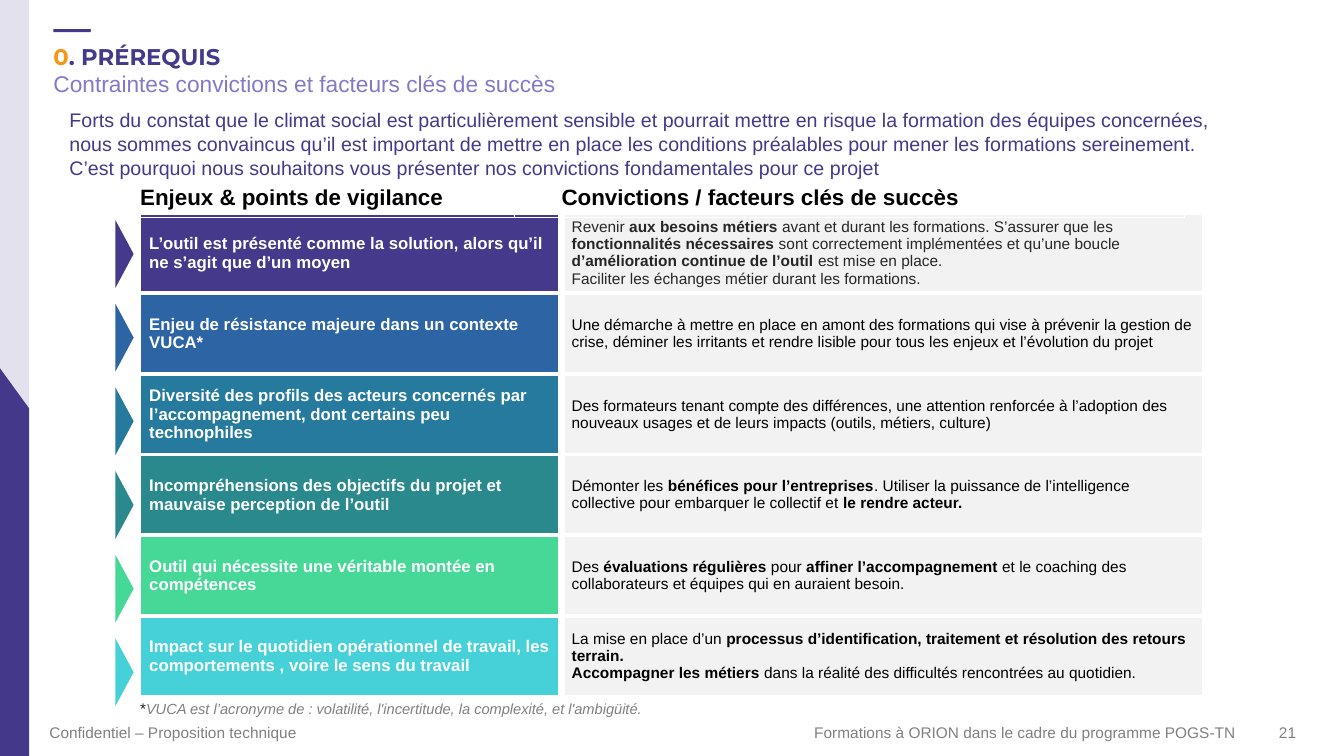
"""Build the prerequisites slide: issues facing their key success factors."""
from dataclasses import dataclass, replace

from lxml import etree
from pptx import Presentation
from pptx import table as tables
from pptx import util as u
from pptx.dml import color as colors
from pptx.dml import fill as fills
from pptx.enum import shapes, text
from pptx.oxml import ns
from pptx.shapes import autoshape
from pptx.slide import Slide
from pptx.text import text as frames

PURPLE, GREY, WHITE, BLACK = "44398A", "808080", "FFFFFF", "000000"
LEFT, RIGHT, CENTER = text.PP_ALIGN.LEFT, text.PP_ALIGN.RIGHT, text.PP_ALIGN.CENTER
MIDDLE, TOP = text.MSO_ANCHOR.MIDDLE, text.MSO_ANCHOR.TOP


@dataclass(frozen=True)
class Run:
    text: str
    size: float
    color: str
    bold: bool = False
    italic: bool = False
    name: str = "Arial"


@dataclass(frozen=True)
class Box:
    left: float
    top: float
    width: float
    height: float

    def lengths(self) -> list[u.Length]:
        return [u.Inches(value) for value in (self.left, self.top, self.width, self.height)]


@dataclass(frozen=True)
class Issue:
    color: str
    title: str
    factors: tuple[str, ...]
    factor_color: str = BLACK


@dataclass(frozen=True)
class Decoration:
    kind: shapes.MSO_SHAPE
    box: Box
    color: str


@dataclass(frozen=True)
class Label:
    box: Box
    runs: tuple[Run, ...]
    alignment: text.PP_ALIGN = LEFT
    anchor: text.MSO_ANCHOR = MIDDLE
    margins: tuple[float, float] = (0, 0)


ISSUES = [
    Issue(PURPLE, "L’outil est présenté comme la solution, alors qu’il ne s’agit que d’un moyen",
          ("Revenir **aux besoins métiers **avant et durant les formations. S’assurer que les "
           "**fonctionnalités nécessaires **sont correctement implémentées et qu’une boucle "
           "**d’amélioration continue de l’outil **est mise en place.",
           "Faciliter les échanges métier durant les formations."), "262626"),
    Issue("2C64A4", "Enjeu de résistance majeure dans un contexte VUCA*",
          ("Une démarche à mettre en place en amont des formations qui vise à prévenir la gestion "
           "de crise, déminer les irritants et rendre lisible pour tous les enjeux et l’évolution "
           "du projet",)),
    Issue("257A9D", "Diversité des profils des acteurs concernés par l’accompagnement, dont "
          "certains peu technophiles",
          ("Des formateurs tenant compte des différences, une attention renforcée à l’adoption "
           "des nouveaux usages et de leurs impacts (outils, métiers, culture)",)),
    Issue("29898D", "Incompréhensions des objectifs du projet et mauvaise perception de l’outil",
          ("Démonter les **bénéfices pour l’entreprises**. Utiliser la puissance de "
           "l’intelligence collective pour embarquer le collectif et **le rendre acteur.",)),
    Issue("45D896", "Outil qui nécessite une véritable montée en compétences",
          ("Des **évaluations régulières **pour **affiner l’accompagnement **et le coaching des "
           "collaborateurs et équipes qui en auraient besoin.",)),
    Issue("45D1D7", "Impact sur le quotidien opérationnel de travail, les comportements , "
          "voire le sens du travail",
          ("La mise en place d’un **processus d’identification, traitement et résolution des "
           "retours terrain.",
           "**Accompagner les métiers **dans la réalité des difficultés rencontrées au "
           "quotidien.")),
]
INTRODUCTION = [
    "Forts du constat que le climat social est particulièrement sensible et pourrait mettre en "
    "risque la formation des équipes concernées,",
    "nous sommes convaincus qu’il est important de mettre en place les conditions préalables pour "
    "mener les formations sereinement.",
    "C’est pourquoi nous souhaitons vous présenter nos convictions fondamentales pour ce projet",
]
DECORATIONS = [
    Decoration(shapes.MSO_SHAPE.RECTANGLE, Box(-0.01, -0.04, 0.3, 7.59), "44388A"),
    Decoration(shapes.MSO_SHAPE.FLOWCHART_MANUAL_INPUT, Box(-0.35, 3.17, 0.64, 4.41), "44388A"),
    Decoration(shapes.MSO_SHAPE.RECTANGLE, Box(0.63, 0.29, 0.27, 0.02), PURPLE),
    Decoration(shapes.MSO_SHAPE.RECTANGLE, Box(0.53, 0.29, 0.37, 0.03), PURPLE),
]
LABELS = [
    Label(Box(12.63, 7.17, 0.28, 0.19), (Run("21", 11, GREY),), CENTER, TOP),
    Label(Box(0.49, 7.17, 4.13, 0.19), (Run("Confidentiel – Proposition technique", 11, GREY),)),
    Label(Box(2.3, 7.17, 9.96, 0.19),
          (Run("Formations à ORION dans le cadre du programme POGS-TN", 11, GREY),), RIGHT),
    Label(Box(1.29, 6.89, 7.51, 0.29),
          (Run("*", 11, "202124"),
           Run("VUCA est l’acronyme de : volatilité, l'incertitude, la complexité, et l'ambigüité.",
               10.5, GREY, italic=True)), anchor=TOP, margins=(0.1, 0.05)),
]


def rgb(value: str) -> colors.RGBColor:
    return colors.RGBColor.from_string(value)


def paint(fill: fills.FillFormat, color: str) -> None:
    fill.solid()
    fill.fore_color.rgb = rgb(color)


def add_runs(paragraph: frames._Paragraph, runs: tuple[Run, ...]) -> None:
    for item in runs:
        run = paragraph.add_run()
        run.text = item.text
        formats = {"name": item.name, "size": u.Pt(item.size), "bold": item.bold,
                   "italic": item.italic}
        for attribute, value in formats.items():
            setattr(run.font, attribute, value)
        run.font.color.rgb = rgb(item.color)


def write(frame: frames.TextFrame, lines: list[tuple[Run, ...]],
          alignment: text.PP_ALIGN = LEFT) -> None:
    for index, runs in enumerate(lines):
        paragraph = frame.add_paragraph() if index else frame.paragraphs[0]
        paragraph.alignment = alignment
        add_runs(paragraph, runs)


def emphasised(marked: str, base: Run) -> tuple[Run, ...]:
    return tuple(replace(base, text=part, bold=index % 2 == 1)
                 for index, part in enumerate(marked.split("**")) if part)


def set_frame(frame: frames.TextFrame, anchor: text.MSO_ANCHOR,
              margins: tuple[float, float]) -> None:
    horizontal, vertical = map(u.Inches, margins)
    formats = {"word_wrap": True, "auto_size": text.MSO_AUTO_SIZE.NONE, "vertical_anchor": anchor,
               "margin_left": horizontal, "margin_right": horizontal,
               "margin_top": vertical, "margin_bottom": vertical}
    for attribute, value in formats.items():
        setattr(frame, attribute, value)


def add_shape(slide: Slide, decoration: Decoration) -> autoshape.Shape:
    shape = slide.shapes.add_shape(decoration.kind, *decoration.box.lengths())
    shape.shadow.inherit = False
    paint(shape.fill, decoration.color)
    shape.line.fill.background()
    return shape


def add_label(slide: Slide, label: Label) -> None:
    frame = slide.shapes.add_textbox(*label.box.lengths()).text_frame
    set_frame(frame, label.anchor, label.margins)
    write(frame, [label.runs], label.alignment)


def add_table(slide: Slide, rows: int, box: Box, widths: tuple[float, ...]) -> tables.Table:
    table = slide.shapes.add_table(rows, len(widths), *box.lengths()).table
    table.first_row = table.horz_banding = False
    for column, width in zip(table.columns, widths):
        column.width = u.Inches(width)
    return table


def set_borders(cell: tables._Cell, left: float, right: float, edge: float) -> None:
    properties = cell._tc.get_or_add_tcPr()
    for side, width in {"lnL": left, "lnR": right, "lnT": edge, "lnB": edge}.items():
        line = etree.SubElement(properties, ns.qn(f"a:{side}"), w=str(u.Pt(width)))
        solid = etree.SubElement(line, ns.qn("a:solidFill"))
        etree.SubElement(solid, ns.qn("a:srgbClr"), val=WHITE)


def add_title(slide: Slide) -> None:
    title = slide.shapes.title
    title.left, title.top, title.width, title.height = Box(0.43, 0.32, 10.83, 0.45).lengths()
    set_frame(title.text_frame, TOP, (0.1, 0.1))
    write(title.text_frame, [(Run("0", 16.2, "F79616", True, name="Montserrat"),
                              Run(". PRÉREQUIS", 16.2, PURPLE, True, name="Montserrat"))])
    paragraph = title.text_frame.paragraphs[0]
    paragraph.add_line_break()
    add_runs(paragraph, (Run("Contraintes convictions et facteurs clés de succès", 16.2, "8479C8"),))


def add_issues(slide: Slide) -> None:
    table = add_table(slide, len(ISSUES), Box(1.38, 2.11, 10.56, 4.8), (4.19, 6.37))
    for row, issue in enumerate(ISSUES):
        base = Run("", 11, issue.factor_color)
        contents = [(issue.color, [(Run(issue.title, 12, WHITE, True),)], (3, 6)),
                    ("F2F2F2", [emphasised(line, base) for line in issue.factors], (6, 3))]
        for column, (color, lines, sides) in enumerate(contents):
            cell = table.cell(row, column)
            set_borders(cell, *sides, 3)
            paint(cell.fill, color)
            cell.vertical_anchor = MIDDLE
            write(cell.text_frame, lines)


def add_headings(slide: Slide) -> None:
    table = add_table(slide, 1, Box(1.29, 1.79, 10.46, 0.37), (3.81, 6.65))
    headings = [("Enjeux & points de vigilance", 0.1),
                ("Convictions / facteurs clés de succès", 0.47)]
    for column, (heading, margin) in enumerate(headings):
        cell = table.cell(0, column)
        set_borders(cell, 1, 1, 1)
        cell.fill.background()
        cell.margin_left = u.Inches(margin)
        write(cell.text_frame, [(Run(heading, 16, BLACK, True),)])


def main() -> None:
    presentation = Presentation()
    presentation.slide_width, presentation.slide_height = u.Inches(13.33), u.Inches(7.5)
    slide = presentation.slides.add_slide(presentation.slide_layouts[5])
    band, slope, *_ = [add_shape(slide, decoration) for decoration in DECORATIONS]
    tint = band.element.spPr.find(f".//{ns.qn('a:srgbClr')}")
    etree.SubElement(tint, ns.qn("a:alpha"), val="15000")
    slope.element.spPr.xfrm.set("flipH", "1")
    add_title(slide)
    add_issues(slide)
    add_headings(slide)
    for row, issue in enumerate(ISSUES):
        box = Box(0.9, 2.43 + 0.83 * row, 0.67, 0.18)
        add_shape(slide, Decoration(shapes.MSO_SHAPE.ISOSCELES_TRIANGLE, box, issue.color)).rotation = 90
    panel = Decoration(shapes.MSO_SHAPE.RECTANGLE, Box(0.59, 0.97, 12.17, 0.91), WHITE)
    frame = add_shape(slide, panel).text_frame
    set_frame(frame, MIDDLE, (0.1, 0.05))
    write(frame, [(Run(line, 14, PURPLE),) for line in INTRODUCTION])
    for label in LABELS:
        add_label(slide, label)
    presentation.save("out.pptx")


if __name__ == "__main__":
    main()
